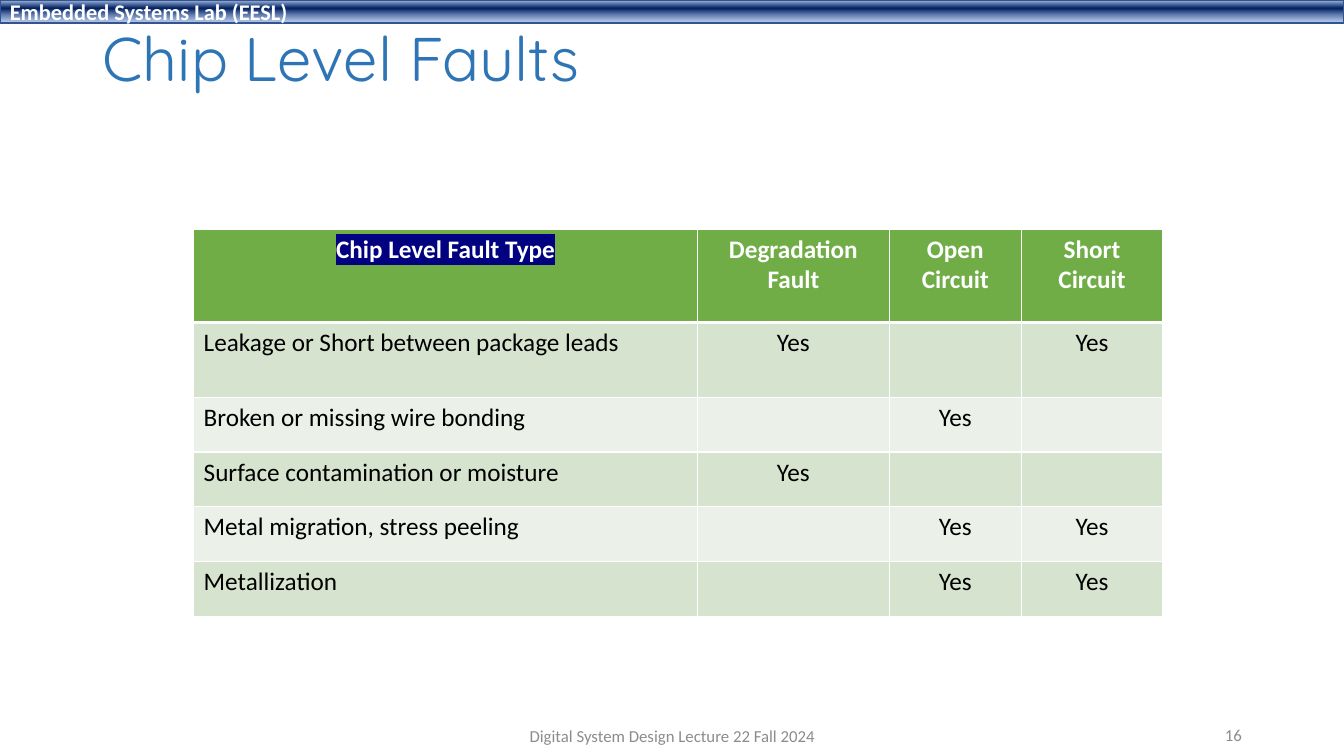
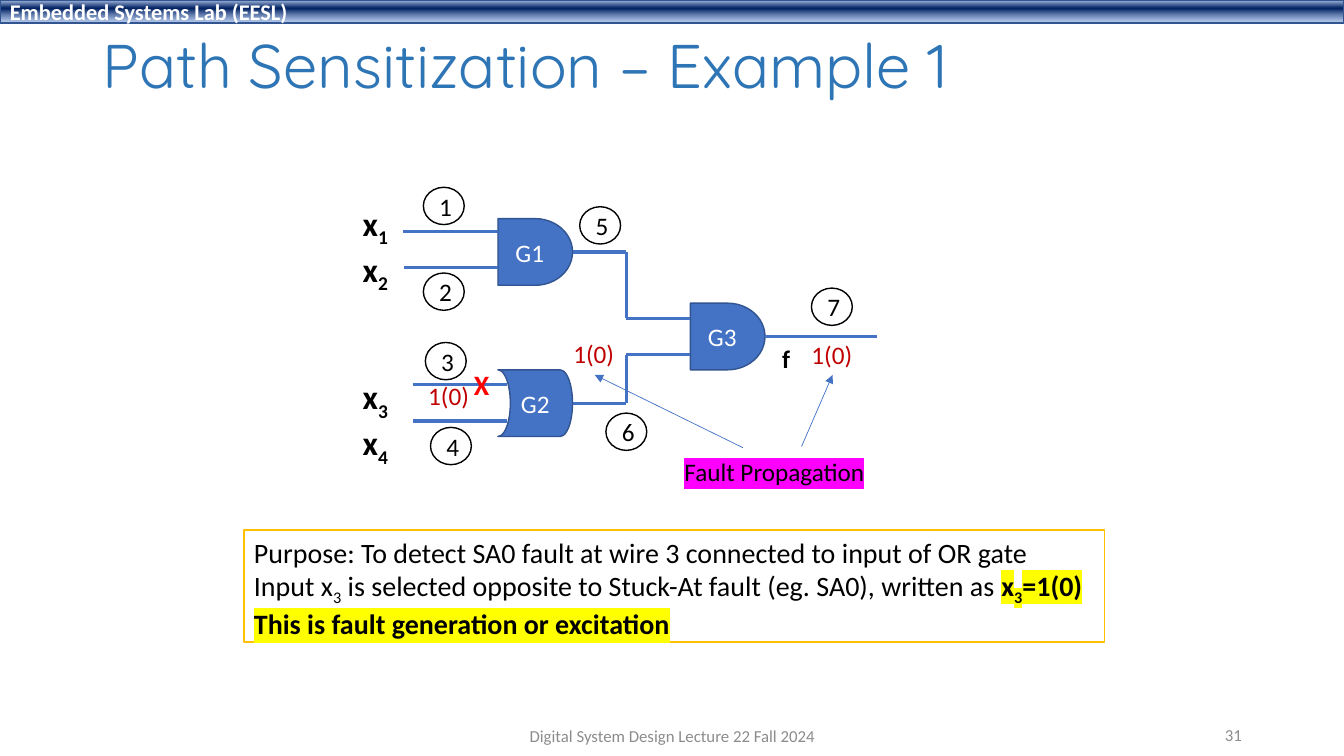
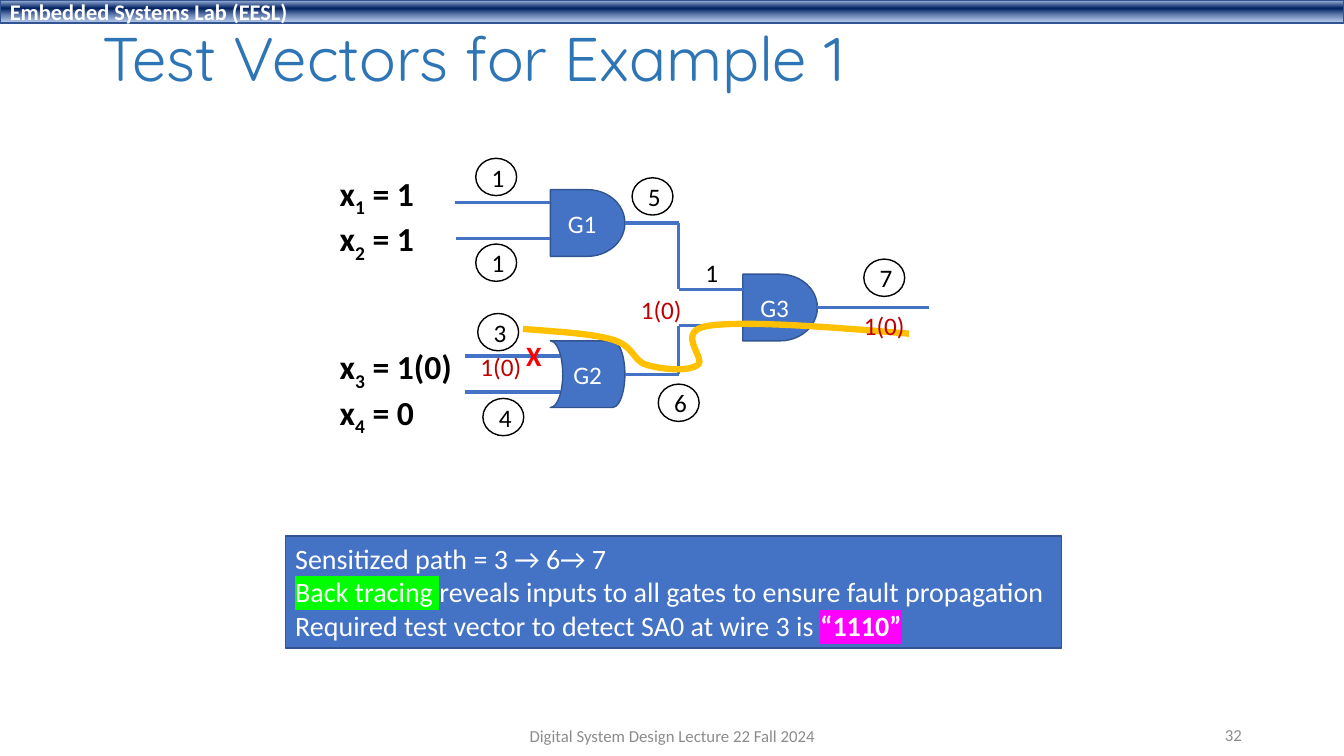
from lxml import etree
from pptx import Presentation
from pptx.dml.color import RGBColor
from pptx.enum.shapes import MSO_CONNECTOR as Link, MSO_SHAPE as Preset
from pptx.enum.text import MSO_ANCHOR as Anchor, MSO_AUTO_SIZE as AutoSize, PP_ALIGN as Align
from pptx.oxml import parse_xml
from pptx.oxml.ns import nsdecls, qn
from pptx.util import Cm, Pt

# Colours
WHITE = RGBColor(0xFF, 0xFF, 0xFF)
BLACK = RGBColor(0x00, 0x00, 0x00)
GREY = RGBColor(0x8C, 0x8C, 0x8C)
TITLE_BLUE = RGBColor(0x2E, 0x75, 0xB6)
BLUE = RGBColor(0x44, 0x72, 0xC4)
EDGE_BLUE = RGBColor(0x32, 0x54, 0x91)
NAVY = RGBColor(0x00, 0x00, 0x80)
GOLD = RGBColor(0xFF, 0xC0, 0x00)
RED = RGBColor(0xFF, 0x00, 0x00)
DARK_RED = RGBColor(0xC0, 0x00, 0x00)
YELLOW = RGBColor(0xFF, 0xFF, 0x00)
MAGENTA = RGBColor(0xFF, 0x00, 0xFF)
LIME = RGBColor(0x00, 0xFF, 0x00)
GREEN = RGBColor(0x70, 0xAD, 0x47)
ROW_TINTS = (RGBColor(0xD5, 0xE3, 0xCF), RGBColor(0xEB, 0xF1, 0xE9))
# Band stops: position %, colour, opacity %
BAND_STOPS = ((2, "ABC0E4", 100), (38, "002060", 100), (93, "7E9ED6", 64))

# Text formats
BODY = {"size": Pt(18), "name": "Calibri", "bold": False, "color": BLACK}
TITLE = {**BODY, "size": Pt(44), "name": "Quicksand", "color": TITLE_BLUE}
BAND = {**BODY, "size": Pt(16), "bold": True, "color": WHITE}
FOOTER = {**BODY, "size": Pt(12), "color": GREY}
HEADER = {**BODY, "bold": True, "color": WHITE}
GATE = {**BODY, "color": WHITE}
NOTE = {**BODY, "size": Pt(20)}
INPUT = {**BODY, "size": Pt(24), "bold": True}
CROSS = {**NOTE, "bold": True, "color": RED}
FAULT = {**BODY, "color": DARK_RED}
SUB = {"baseline": "-25000"}
MARKED = {"bold": True, "highlight": YELLOW}

WIDTH, HEIGHT = 33.87, 19.05
GATE_W, GATE_H = 1.88, 1.68


# Text and shape helpers
def write(frame, lines, style, align=Align.LEFT):
    """Each line is a list of spans: a string, or a string with format changes."""
    for number, line in enumerate(lines):
        para = frame.paragraphs[0] if number == 0 else frame.add_paragraph()
        para.alignment = align
        for part in line:
            text, changes = (part, {}) if isinstance(part, str) else part
            look = {**style, **changes}
            span = para.add_run()
            span.text = text
            span.font.color.rgb = look.pop("color")
            highlight = look.pop("highlight", None)
            baseline = look.pop("baseline", None)
            for key, value in look.items():
                setattr(span.font, key, value)
            props = span.font._element
            if baseline:
                props.set("baseline", baseline)
            if highlight:
                props.find(qn("a:latin")).addprevious(parse_xml(
                    f'<a:highlight {nsdecls("a")}><a:srgbClr val="{highlight}"/></a:highlight>'))


def text_box(page, box, lines, style, align=Align.LEFT, anchor=Anchor.MIDDLE):
    frame = page.shapes.add_textbox(*map(Cm, box)).text_frame
    frame.word_wrap = True
    frame.vertical_anchor = anchor
    write(frame, lines, style, align)
    return frame


def label(page, box, lines, style):
    frame = text_box(page, box, lines, style, anchor=Anchor.TOP)
    frame.word_wrap = False
    frame.auto_size = AutoSize.SHAPE_TO_FIT_TEXT
    return frame


def block(page, preset, box, fill, edge, lines, style, align=Align.CENTER):
    shape = page.shapes.add_shape(preset, *map(Cm, box))
    shape.shadow.inherit = False
    if fill is None:
        shape.fill.background()
    else:
        shape.fill.solid()
        shape.fill.fore_color.rgb = fill
    shape.line.color.rgb = edge
    shape.line.width = Pt(1)
    shape.text_frame.vertical_anchor = Anchor.MIDDLE
    write(shape.text_frame, lines, style, align)
    return shape


def wire(page, start, end, weight=2.25, arrow=False):
    line = page.shapes.add_connector(Link.STRAIGHT, *map(Cm, (*start, *end)))
    line.line.color.rgb = BLUE
    line.line.width = Pt(weight)
    props = line._element.spPr
    if arrow:
        etree.SubElement(props.find(qn("a:ln")), qn("a:tailEnd"), type="triangle")
    etree.SubElement(props, qn("a:effectLst"))
    return line


# Parts shared by all pages
def new_page(deck, title, number, title_top=0.38):
    page = deck.slides.add_slide(deck.slide_layouts[6])
    band = block(page, Preset.RECTANGLE, (0, 0, WIDTH, 0.58), BLUE, EDGE_BLUE,
                 [["Embedded Systems Lab (EESL)"]], BAND, Align.LEFT)
    stops = "".join(
        f'<a:gs pos="{pos * 1000}"><a:srgbClr val="{color}">'
        f'<a:alpha val="{alpha * 1000}"/></a:srgbClr></a:gs>'
        for pos, color, alpha in BAND_STOPS)
    props = band._element.spPr
    props.replace(props.find(qn("a:solidFill")), parse_xml(
        f'<a:gradFill {nsdecls("a")} rotWithShape="1"><a:gsLst>{stops}</a:gsLst>'
        '<a:lin ang="5400000" scaled="0"/></a:gradFill>'))
    heading = text_box(page, (2.34, title_top, 29.21, 2.36), [[title]], TITLE)
    heading.paragraphs[0].line_spacing = 0.9
    text_box(page, (11.23, 18.03, 11.43, 1.02),
             [["Digital System Design Lecture 22 Fall 2024"]], FOOTER, Align.CENTER)
    text_box(page, (23.93, 18.01, 7.62, 1.02), [[str(number)]], FOOTER, Align.RIGHT)
    return page


def note(page, box, fill, edge, lines, style):
    frame = block(page, Preset.RECTANGLE, box, fill, edge, lines, style, Align.LEFT).text_frame
    for key, value in {"word_wrap": False, "auto_size": AutoSize.SHAPE_TO_FIT_TEXT,
                       "vertical_anchor": Anchor.TOP}.items():
        setattr(frame, key, value)


# Fault table
def cell_borders(cell, top, bottom):
    props = cell._tc.get_or_add_tcPr()
    for side, weight in {"L": 1, "R": 1, "T": top, "B": bottom}.items():
        props.append(parse_xml(
            f'<a:ln{side} {nsdecls("a")} w="{Pt(weight)}"><a:solidFill>'
            f'<a:srgbClr val="{WHITE}"/></a:solidFill></a:ln{side}>'))


def fault_table(page, left, top):
    widths = (12.7, 4.83, 3.33, 3.56)
    heights = (2.36, 1.88) + (1.38,) * 4
    yes = "Yes"
    rows = (
        (("Chip Level Fault Type", {"highlight": NAVY}),
         "Degradation Fault", "Open Circuit", "Short Circuit"),
        ("Leakage or Short between package leads", yes, "", yes),
        ("Broken or missing wire bonding", "", yes, ""),
        ("Surface contamination or moisture", yes, "", ""),
        ("Metal migration, stress peeling", "", yes, yes),
        ("Metallization", "", yes, yes),
    )
    table = page.shapes.add_table(len(rows), len(widths), Cm(left), Cm(top),
                                  Cm(sum(widths)), Cm(sum(heights))).table
    for column, width in zip(table.columns, widths):
        column.width = Cm(width)
    for r, (row, height) in enumerate(zip(rows, heights)):
        table.rows[r].height = Cm(height)
        for c, content in enumerate(row):
            cell = table.cell(r, c)
            cell_borders(cell, 3 if r == 1 else 1, 3 if r == 0 else 1)
            cell.fill.solid()
            cell.fill.fore_color.rgb = ROW_TINTS[(r - 1) % 2] if r else GREEN
            if content:
                align = Align.LEFT if r and c == 0 else Align.CENTER
                write(cell.text_frame, [[content]], BODY if r else HEADER, align)


# Logic circuit, placed from the top left corner of gate G1
def circuit(page, left, top, second_node):
    def at(x, y):
        return left + x, top + y

    gates = {}
    for name, preset, x, y in (("G1", Preset.FLOWCHART_DELAY, 0, 0),
                               ("G3", Preset.FLOWCHART_DELAY, 4.85, 2.13),
                               ("G2", Preset.FLOWCHART_STORED_DATA, 0, 3.81)):
        gates[name] = block(page, preset, (*at(x, y), GATE_W, GATE_H),
                            BLUE, EDGE_BLUE, [[name]], GATE)
    gates["G2"]._element.spPr.find(qn("a:xfrm")).set("flipH", "1")

    for source, points in (
            (None, ((-2.39, 0.33), (0, 0.33))),
            (None, ((-2.37, 1.24), (0, 1.24))),
            (None, ((-2.15, 4.19), (0.23, 4.19))),
            (None, ((-2.14, 5.1), (0.23, 5.1))),
            ("G1", ((1.88, 0.84), (3.23, 0.84), (3.23, 2.51), (4.85, 2.51))),
            (None, ((1.88, 4.65), (3.23, 4.65), (3.23, 3.43), (4.85, 3.43))),
            ("G3", ((6.73, 2.97), (9.55, 2.97)))):
        lines = [wire(page, at(*a), at(*b)) for a, b in zip(points, points[1:])]
        if source:
            lines[0].begin_connect(gates[source], 3)

    for name, x, y in (("1", -1.88, -0.79), (second_node, -1.88, 1.37), ("4", -1.7, 5.26),
                       ("3", -1.83, 3.12), ("6", 2.72, 4.9), ("5", 2.06, -0.3),
                       ("7", 7.9, 1.75)):
        block(page, Preset.OVAL, (*at(x, y), 1.03, 0.94), None, BLACK, [[name]], BODY)
    label(page, (*at(-0.86, 3.63), 0.91, 1.12), [["X"]], CROSS)


def input_names(page, box, values):
    lines = [["x", (str(i), SUB), value] for i, value in enumerate(values, 1)]
    label(page, box, lines, INPUT).paragraphs[2].space_before = Pt(58.5)


def fault_values(page, left, top, middle):
    for x, y in ((-2.01, 3.96), middle, (7.65, 2.92)):
        label(page, (left + x, top + y, 1.55, 1.02), [["1(0)"]], FAULT)


def sensitized_path(page, left, top, steps=16):
    knots = ((-0.69, 3.51), (0.2, 3.58), (1.07, 3.63), (1.57, 3.78),
             (2.11, 3.94), (2.08, 4.32), (2.44, 4.42),
             (2.79, 4.52), (3.45, 4.6), (3.71, 4.42),
             (3.96, 4.27), (3.1, 3.56), (3.99, 3.43),
             (4.88, 3.3), (6.96, 3.45), (9.04, 3.63))
    points = []
    for first in range(0, len(knots) - 1, 3):
        curve = knots[first:first + 4]
        for step in range(1, steps + 1):
            t = step / steps
            weights = ((1 - t) ** 3, 3 * t * (1 - t) ** 2, 3 * t * t * (1 - t), t ** 3)
            x, y = (sum(w * p[axis] for w, p in zip(weights, curve)) for axis in (0, 1))
            points.append((Cm(left + x), Cm(top + y)))
    builder = page.shapes.build_freeform(Cm(left + knots[0][0]), Cm(top + knots[0][1]))
    builder.add_line_segments(points, close=False)
    trace = builder.convert_to_shape()
    trace.shadow.inherit = False
    trace.fill.background()
    trace.line.color.rgb = GOLD
    trace.line.width = Pt(4.5)


# Pages
def faults_page(deck):
    page = new_page(deck, "Chip Level Faults", 16)
    fault_table(page, 4.88, 5.77)


def example_page(deck):
    page = new_page(deck, "Path Sensitization – Example 1", 31, title_top=0.56)
    left, top = 12.55, 5.51
    circuit(page, left, top, "2")
    input_names(page, (left - 3.66, top - 0.53, 1.19, 6.4), [""] * 4)
    fault_values(page, left, top, (1.65, 2.9))
    label(page, (left + 6.91, top + 3.02, 0.71, 1.02), [["f"]], {**BODY, "bold": True})
    label(page, (left + 4.45, top + 5.87, 5.1, 1.02),
          [[("Fault Propagation", {"highlight": MAGENTA})]], BODY)
    for x, y, end_x in ((6.17, 5.77, 2.44), (7.65, 5.74, 8.43)):
        wire(page, (left + x, top + y), (left + end_x, top + 3.94), 0.5, arrow=True)
    note(page, (6.15, 13.36, 21.69, 2.82), WHITE, GOLD, [
        ["Purpose: To detect SA0 fault at wire 3 connected to input of OR gate"],
        ["Input x", ("3", SUB),
         " is selected opposite to Stuck-At fault (eg. SA0), written as ",
         ("x", MARKED), ("3", {**MARKED, **SUB}), ("=1(0)", MARKED)],
        [("This is fault generation or excitation", MARKED)],
    ], NOTE)


def vectors_page(deck):
    page = new_page(deck, "Test Vectors for Example 1", 32)
    left, top = 13.87, 4.78
    note(page, (7.19, 13.51, 19.56, 2.82), BLUE, EDGE_BLUE, [
        ["Sensitized path = 3 → 6→ 7"],
        [("Back tracing ", {"highlight": LIME}),
         "reveals inputs to all gates to ensure fault propagation"],
        ["Required test vector to detect SA0 at wire 3 is ",
         ("“1110”", {"bold": True, "highlight": MAGENTA})],
    ], {**NOTE, "color": WHITE})
    circuit(page, left, top, "1")
    input_names(page, (left - 5.56, top - 0.56, 3.4, 6.4), [" = 1", " = 1", " = 1(0)", " = 0"])
    sensitized_path(page, left, top)
    fault_values(page, left, top, (2.03, 2.51))
    label(page, (left + 3.66, top + 1.57, 0.84, 1.02), [["1"]], BODY)


def main():
    deck = Presentation()
    deck.slide_width, deck.slide_height = Cm(WIDTH), Cm(HEIGHT)
    for build in (faults_page, example_page, vectors_page):
        build(deck)
    deck.save("out.pptx")


if __name__ == "__main__":
    main()
